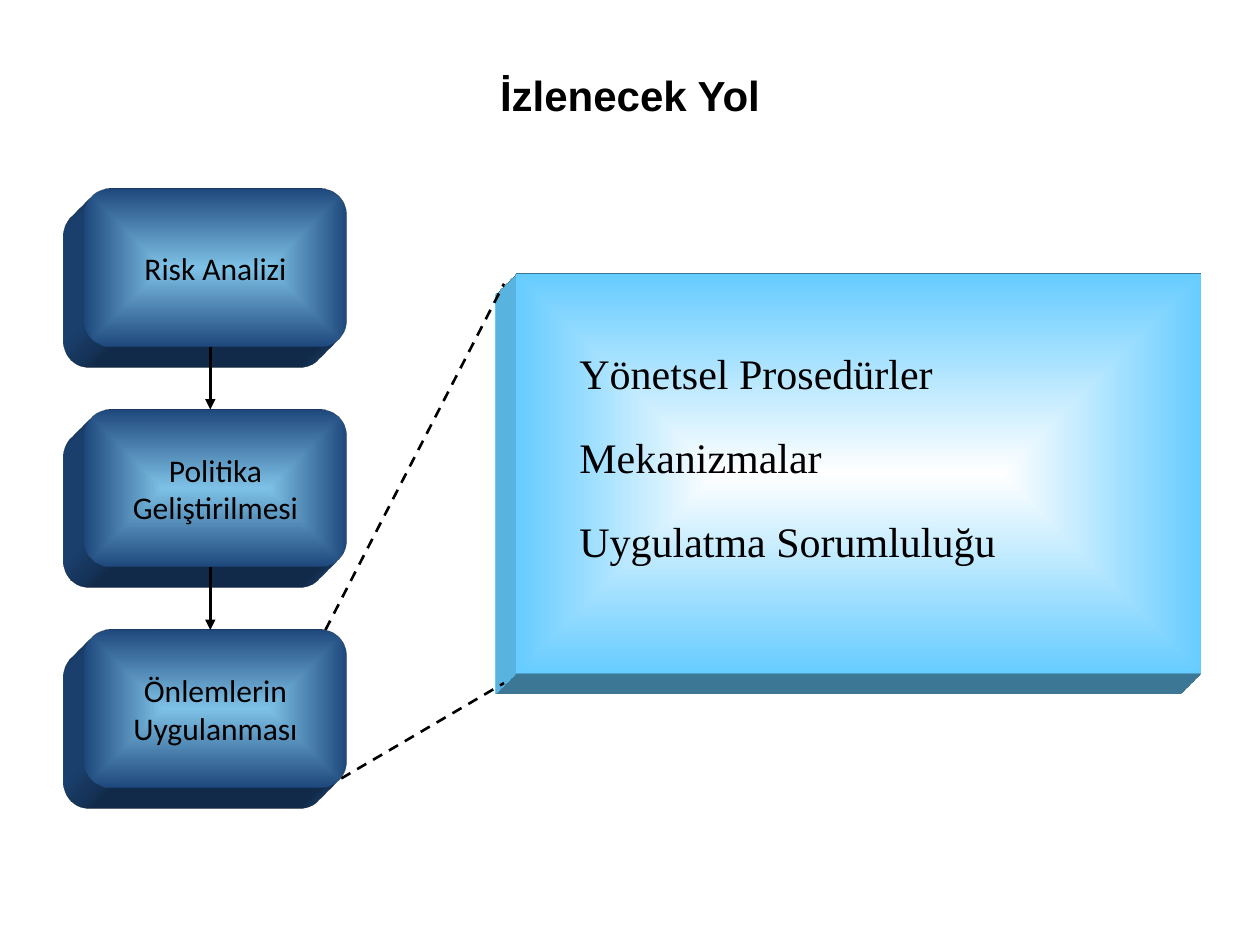
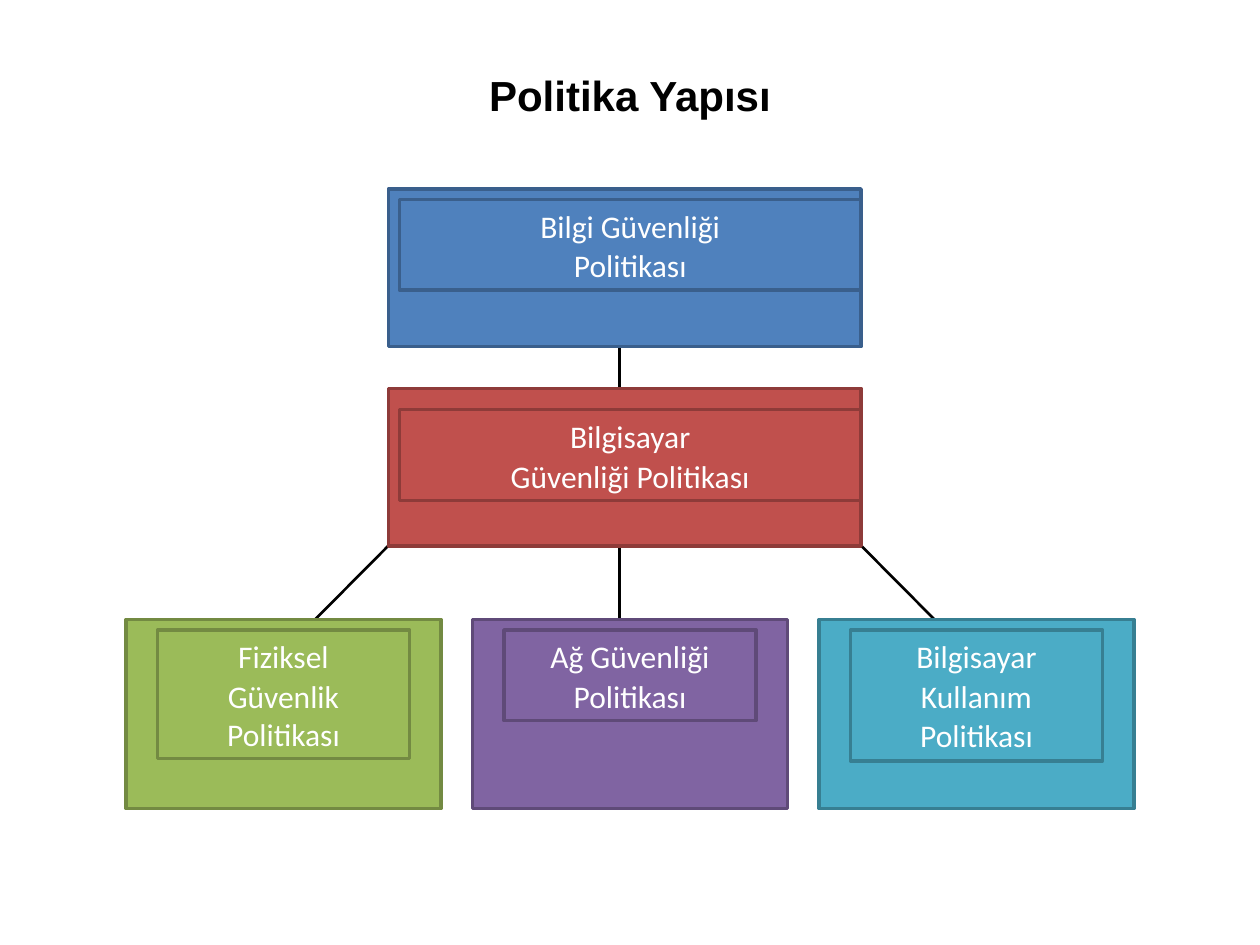
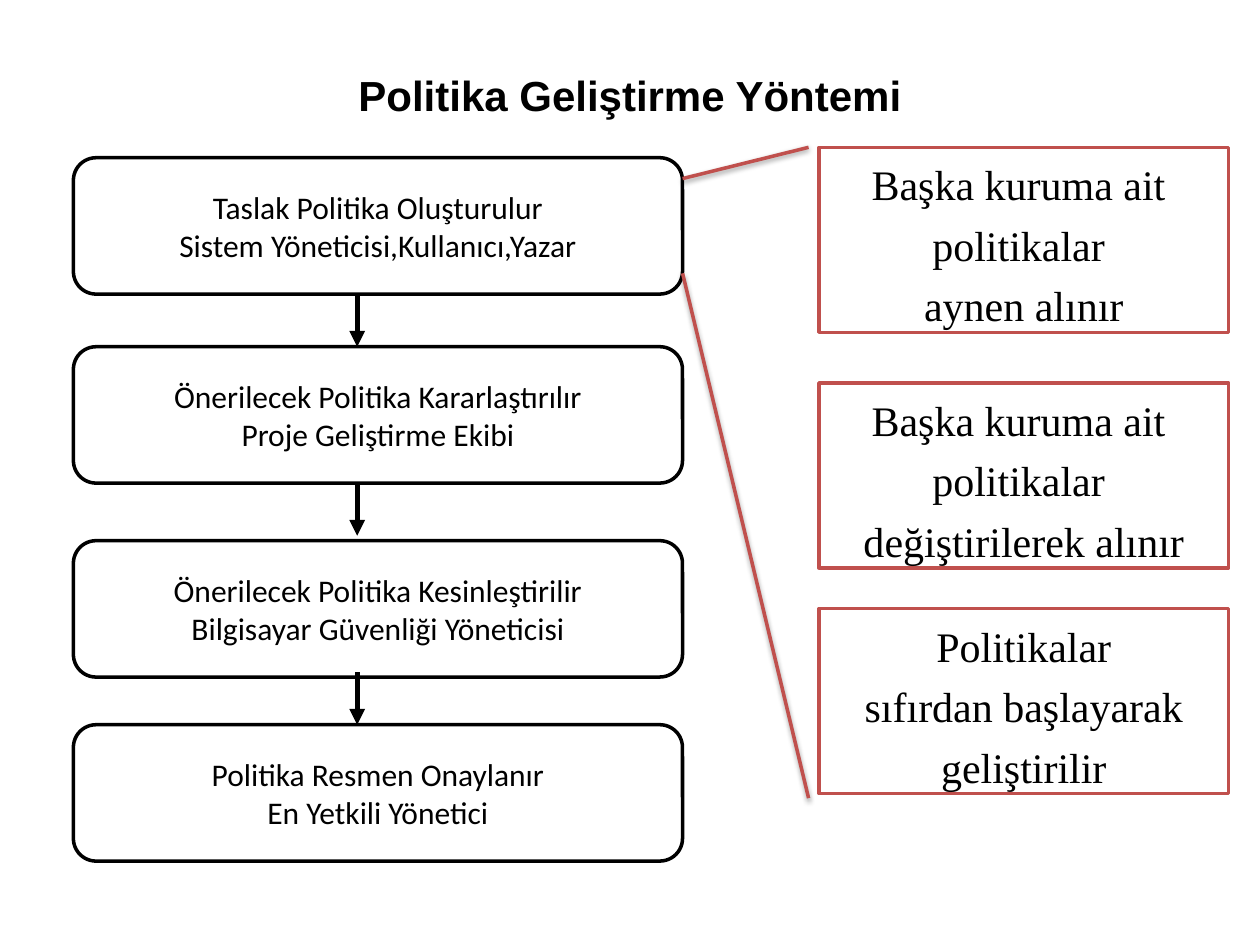
from dataclasses import dataclass

from lxml import etree
from pptx import Presentation
from pptx.dml.color import RGBColor
from pptx.enum import dml, shapes, text
from pptx.oxml import parse_xml
from pptx.oxml.ns import nsdecls, qn
from pptx.util import Cm, Pt

BLACK = RGBColor(0x00, 0x00, 0x00)
WHITE = RGBColor(0xFF, 0xFF, 0xFF)
SKY = RGBColor(0x66, 0xCC, 0xFF)
PALE = RGBColor(0x7F, 0xC2, 0xE7)
NAVY = RGBColor(0x1F, 0x49, 0x7D)
RED = RGBColor(0xC0, 0x50, 0x4D)
BLUE = RGBColor(0x4F, 0x81, 0xBD)
GREEN = RGBColor(0x9B, 0xBB, 0x59)
PLUM = RGBColor(0x80, 0x64, 0xA2)
TEAL = RGBColor(0x4B, 0xAC, 0xC6)
EDGES = {
    BLUE: RGBColor(0x3A, 0x5F, 0x8C),
    RED: RGBColor(0x8E, 0x3B, 0x39),
    GREEN: RGBColor(0x73, 0x8A, 0x42),
    PLUM: RGBColor(0x5F, 0x4A, 0x78),
    TEAL: RGBColor(0x37, 0x7F, 0x92),
}
SANS, SERIF, HEAD = "Calibri", "Times New Roman", "Arial"
RECT = shapes.MSO_SHAPE.RECTANGLE
ROUND = shapes.MSO_SHAPE.ROUNDED_RECTANGLE
TOP = text.MSO_ANCHOR.TOP
MID = text.MSO_ANCHOR.MIDDLE
LEFT = text.PP_ALIGN.LEFT
CENTER = text.PP_ALIGN.CENTER


@dataclass
class Box:
    """A rectangle in centimetres."""
    x: float
    y: float
    w: float
    h: float

    def emu(self) -> tuple:
        return Cm(self.x), Cm(self.y), Cm(self.w), Cm(self.h)


@dataclass
class Line:
    """A straight line in centimetres."""
    x1: float
    y1: float
    x2: float
    y2: float


@dataclass
class Node:
    """A coloured frame with a smaller label box inside."""
    frame: Box
    label: Box
    fill: RGBColor
    words: str


# Text and shapes
def write(shape, words: str, *, font=SANS, size=18, color=BLACK, bold=False,
          align=CENTER, anchor=MID, wrap=True, gap=0.0, top=0.13) -> None:
    frame = shape.text_frame
    frame.word_wrap = wrap
    frame.vertical_anchor = anchor
    frame.margin_top = Cm(top)
    frame.text = words
    for i, para in enumerate(frame.paragraphs):
        para.alignment = align
        if i and gap:
            para.space_before = Pt(gap)
        for run in para.runs:
            run.font.name, run.font.size = font, Pt(size)
            run.font.bold, run.font.color.rgb = bold, color


def block(tree, box: Box, kind=RECT, fill=WHITE, edge=None):
    shape = tree.add_shape(kind, *box.emu())
    shape.shadow.inherit = False
    shape.fill.solid()
    shape.fill.fore_color.rgb = fill
    if edge is None:
        shape.line.fill.background()
    else:
        shape.line.color.rgb = edge
        shape.line.width = Pt(2)
    return shape


def raised(tree, box: Box, kind, inner: RGBColor, outer: RGBColor):
    """A block with a glow from its centre and an oblique extrusion."""
    shape = block(tree, box, kind)
    props = shape._element.spPr
    ns = nsdecls("a")
    glow = parse_xml(
        f'<a:gradFill {ns} rotWithShape="1"><a:gsLst>'
        f'<a:gs pos="0"><a:srgbClr val="{inner}"/></a:gs>'
        f'<a:gs pos="100000"><a:srgbClr val="{outer}"/></a:gs></a:gsLst>'
        '<a:path path="shape"><a:fillToRect l="50000" t="50000" r="50000" b="50000"/>'
        '</a:path></a:gradFill>')
    props.replace(props.find(qn("a:solidFill")), glow)
    props.append(parse_xml(
        f'<a:scene3d {ns}><a:camera prst="legacyObliqueBottomLeft"/>'
        '<a:lightRig rig="legacyFlat3" dir="t"/></a:scene3d>'))
    props.append(parse_xml(
        f'<a:sp3d {ns} extrusionH="430200" prstMaterial="legacyMatte">'
        '<a:bevelT w="13500" h="13500" prst="angle"/>'
        '<a:bevelB w="13500" h="13500" prst="angle"/>'
        f'<a:extrusionClr><a:srgbClr val="{outer}"/></a:extrusionClr></a:sp3d>'))
    return shape


def link(tree, line: Line, color=BLACK, width=1.5, dash=False, arrow=False,
         shade=False) -> None:
    wire = tree.add_connector(shapes.MSO_CONNECTOR.STRAIGHT, Cm(line.x1),
                              Cm(line.y1), Cm(line.x2), Cm(line.y2))
    wire.line.color.rgb = color
    wire.line.width = Pt(width)
    if dash:
        wire.line.dash_style = dml.MSO_LINE.DASH
    if arrow:
        etree.SubElement(wire.line._get_or_add_ln(), qn("a:tailEnd"), type="triangle")
    effect = etree.SubElement(wire._element.spPr, qn("a:effectLst"))
    if shade:
        cast = etree.SubElement(effect, qn("a:outerShdw"), blurRad=str(Pt(3.1)),
                                dist=str(Pt(1.6)), dir="5400000", rotWithShape="0")
        tone = etree.SubElement(cast, qn("a:srgbClr"), val=str(BLACK))
        etree.SubElement(tone, qn("a:alpha"), val="38000")


def start(deck, title: str):
    """Add a titled slide and return its shapes."""
    tree = deck.slides.add_slide(deck.slide_layouts[5]).shapes
    head = tree.title
    head.left, head.top, head.width, head.height = Box(0, 0, 25.4, 2.54).emu()
    write(head, title, font=HEAD, size=24, bold=True, anchor=text.MSO_ANCHOR.BOTTOM)
    return tree


# Slide 1: steps and the contents of the last step
def road(deck) -> None:
    tree = start(deck, "İzlenecek Yol")
    panel = Box(10.41, 5.51, 13.79, 8.05)
    raised(tree, panel, RECT, WHITE, SKY)
    items = tree.add_textbox(*Box(11.43, 6.78, 11.86, 4.88).emu())
    write(items, "Yönetsel Prosedürler\nMekanizmalar\nUygulatma Sorumluluğu",
          font=SERIF, size=24, align=LEFT, anchor=TOP, gap=19.2, top=0.23)
    zoom = tree.add_group_shape().shapes
    for line in (Line(6.56, 12.7, 10.16, 5.72), Line(6.56, 15.88, 10.16, 13.77)):
        link(zoom, line, dash=True)

    steps = ("Risk Analizi", "Politika\nGeliştirilmesi", "Önlemlerin\nUygulanması")
    first, pitch, high = 3.81, 4.445, 3.175
    for i, words in enumerate(steps):
        step = raised(tree, Box(1.7, first + i * pitch, 5.29, high), ROUND, PALE, NAVY)
        write(step, words, wrap=False)
    for i in range(len(steps) - 1):
        y = first + i * pitch
        link(tree, Line(4.24, y + high, 4.24, y + pitch), arrow=True)


# Slide 2: tree of policies
def plan(deck) -> None:
    tree = start(deck, "Politika Yapısı")
    nodes = [
        Node(Box(7.83, 3.81, 9.53, 3.18), Box(8.05, 4.02, 9.31, 1.83), BLUE,
             "Bilgi Güvenliği\nPolitikası"),
        Node(Box(7.83, 7.83, 9.53, 3.18), Box(8.05, 8.26, 9.31, 1.83), RED,
             "Bilgisayar\nGüvenliği Politikası"),
    ]
    leaves = (
        (GREEN, 2.59, "Fiziksel\nGüvenlik Politikası"),
        (PLUM, 1.83, "Ağ Güvenliği\nPolitikası"),
        (TEAL, 2.64, "Bilgisayar\nKullanım\nPolitikası"),
    )
    for i, (fill, high, words) in enumerate(leaves):
        x = 2.54 + i * 6.985
        nodes.append(Node(Box(x, 12.49, 6.35, 3.81),
                          Box(x + 0.635, 12.7, 5.08, high), fill, words))

    for line in (Line(12.49, 6.99, 12.49, 7.83), Line(12.49, 11, 12.49, 12.49),
                 Line(7.83, 11, 6.35, 12.49), Line(17.36, 11, 18.84, 12.49)):
        link(tree, line)
    for node in nodes:
        group = tree.add_group_shape().shapes
        block(group, node.frame, fill=node.fill, edge=EDGES[node.fill])
        label = block(group, node.label, fill=node.fill, edge=EDGES[node.fill])
        write(label, node.words, color=WHITE, anchor=TOP, gap=0.9, top=0.15)


# Slide 3: drafting process and the ways to draft
def method(deck) -> None:
    tree = start(deck, "Politika Geliştirme Yöntemi")
    steps = (
        (3.18, "Taslak Politika Oluşturulur\nSistem Yöneticisi,Kullanıcı,Yazar"),
        (6.99, "Önerilecek Politika Kararlaştırılır\nProje Geliştirme Ekibi"),
        (10.9, "Önerilecek Politika Kesinleştirilir\nBilgisayar Güvenliği Yöneticisi"),
        (14.61, "Politika Resmen Onaylanır\nEn Yetkili Yönetici"),
    )
    for y, words in steps:
        step = block(tree, Box(1.48, y, 12.28, 2.75), ROUND, edge=BLACK)
        write(step, words, wrap=False)
    for i in range(len(steps) - 1):
        y = 5.93 + i * 3.81
        link(tree, Line(7.2, y, 7.2, y + 1.06), width=3, arrow=True)

    zoom = tree.add_group_shape().shapes
    for line in (Line(13.76, 3.6, 16.3, 2.97), Line(13.76, 5.51, 16.3, 16.09)):
        link(zoom, line, color=RED, width=2, shade=True)

    ways = (
        (2.97, "Başka kuruma ait \npolitikalar \naynen alınır"),
        (7.72, "Başka kuruma ait \npolitikalar \ndeğiştirilerek alınır"),
        (12.27, "Politikalar\nsıfırdan başlayarak\ngeliştirilir"),
    )
    for y, words in ways:
        way = block(tree, Box(16.51, y, 8.26, 3.73), edge=RED)
        write(way, words, font=SERIF, size=24, anchor=TOP, gap=5.8, top=0.23)


def main() -> None:
    deck = Presentation()
    deck.slide_width, deck.slide_height = Cm(25.4), Cm(19.05)
    road(deck)
    plan(deck)
    method(deck)
    deck.save("out.pptx")


if __name__ == "__main__":
    main()
